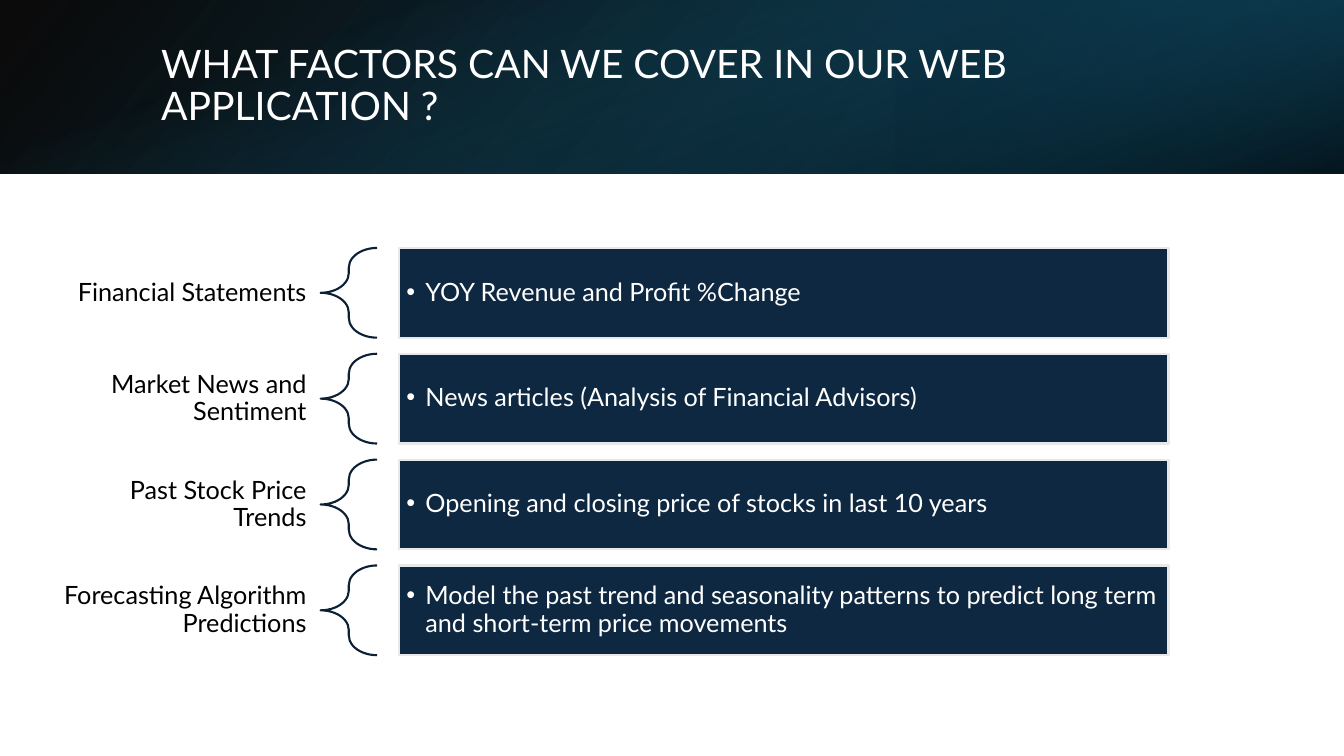
from dataclasses import dataclass

from lxml import etree
from pptx import Presentation
from pptx.dml.color import RGBColor
from pptx.enum.shapes import MSO_SHAPE
from pptx.enum.text import MSO_ANCHOR, PP_ALIGN
from pptx.oxml import parse_xml
from pptx.oxml.ns import nsdecls, qn
from pptx.util import Inches, Pt

RECT, BRACE = MSO_SHAPE.RECTANGLE, MSO_SHAPE.LEFT_BRACE
MIDDLE = MSO_ANCHOR.MIDDLE
LEFT, RIGHT = PP_ALIGN.LEFT, PP_ALIGN.RIGHT


@dataclass(frozen=True)
class Theme:
    font: str = "Lato"
    title_size: int = 28
    body_size: int = 18
    line_width: float = 1.5
    line_spacing: float = 0.9
    white: str = "FFFFFF"
    black: str = "000000"
    teal: str = "156082"
    mid_teal: str = "104862"
    deep_teal: str = "0B3041"
    navy: str = "0E2841"
    brace: str = "0B2034"
    border: str = "E8E8E8"


THEME = Theme()
SLIDE_W, SLIDE_H, HEADER_H = 13.33, 7.5, 1.72
ROW_TOP, ROW_H, ROW_PITCH = 2.46, 0.89, 1.05

FACTORS = [
    ("Financial Statements", "YOY Revenue and Profit %Change"),
    ("Market News and Sentiment", "News articles (Analysis of Financial Advisors)"),
    ("Past Stock Price Trends", "Opening and closing price of stocks in last 10 years"),
    ("Forecasting Algorithm Predictions",
     "Model the past trend and seasonality patterns to predict long term "
     "and short-term price movements"),
]


def rgb(color):
    return RGBColor.from_string(color)


def add_bullet(p, hanging=0.19):
    pPr = p._p.get_or_add_pPr()
    pPr.set("marL", str(Inches(hanging)))
    pPr.set("indent", str(-Inches(hanging)))
    etree.SubElement(pPr, qn("a:buFont")).set("typeface", "Arial")
    etree.SubElement(pPr, qn("a:buChar")).set("char", "•")


def set_text(sp, text, size=THEME.body_size, color=THEME.black, align=LEFT,
             insets=(0.1, 0.05), bullet=False):
    tf = sp.text_frame
    tf.word_wrap = True
    tf.vertical_anchor = MIDDLE
    tf.margin_left = tf.margin_right = Inches(insets[0])
    tf.margin_top = tf.margin_bottom = Inches(insets[1])
    p = tf.paragraphs[0]
    p.alignment = align
    p.line_spacing = THEME.line_spacing
    if bullet:
        add_bullet(p)
    r = p.add_run()
    r.text = text
    r.font.name = THEME.font
    r.font.size = Pt(size)
    r.font.color.rgb = rgb(color)


def add_text(slide, box, text, **text_format):
    sp = slide.shapes.add_textbox(*map(Inches, box))
    set_text(sp, text, **text_format)


def add_shape(slide, preset, box, fill=None, line=None):
    sp = slide.shapes.add_shape(preset, *map(Inches, box))
    sp.shadow.inherit = False
    if fill:
        sp.fill.solid()
        sp.fill.fore_color.rgb = rgb(fill)
    else:
        sp.fill.background()
    if line:
        sp.line.color.rgb = rgb(line)
        sp.line.width = Pt(THEME.line_width)
    else:
        sp.line.fill.background()
    return sp


def add_gradient(slide, box, stops, angle, rotation=0, flip=False):
    """Draw a rectangle shaded by stops of (position %, colour, opacity %)."""
    sp = add_shape(slide, RECT, box)
    sp.rotation = rotation
    spPr = sp._element.spPr
    if flip:
        spPr.find(qn("a:xfrm")).set("flipH", "1")
    stop_xml = "".join(
        f'<a:gs pos="{pos * 1000}"><a:srgbClr val="{color}">'
        f'<a:alpha val="{opacity * 1000}"/></a:srgbClr></a:gs>'
        for pos, color, opacity in stops)
    gradient = parse_xml(
        f'<a:gradFill {nsdecls("a")} rotWithShape="1"><a:gsLst>{stop_xml}</a:gsLst>'
        f'<a:lin ang="{angle * 60000}" scaled="0"/></a:gradFill>')
    spPr.replace(spPr.find(qn("a:noFill")), gradient)


def add_header(slide, title):
    t = THEME
    add_gradient(slide, (0, 0, SLIDE_W, HEADER_H),
                 [(0, t.black, 96), (100, t.mid_teal, 100)], 140, flip=True)
    add_gradient(slide, (SLIDE_W * 2 / 3, 0, SLIDE_W / 3, HEADER_H),
                 [(19, t.deep_teal, 68), (100, t.teal, 79)], 320,
                 rotation=180, flip=True)
    offset = (SLIDE_W - HEADER_H) / 2
    add_gradient(slide, (offset, -offset, HEADER_H, SLIDE_W),
                 [(23, t.teal, 0), (99, t.black, 74)], 340, rotation=90)
    add_text(slide, (1.5, 0.38, 10.98, 0.96), title,
             size=t.title_size, color=t.white)


def add_factor(slide, top, label, detail):
    add_text(slide, (0.37, top, 2.81, ROW_H), label, align=RIGHT,
             insets=(0.14, 0.05))
    brace = add_shape(slide, BRACE, (3.18, top, 0.56, ROW_H), line=THEME.brace)
    brace.adjustments[0] = 0.35
    brace.adjustments[1] = 0.5
    bar = add_shape(slide, RECT, (3.96, top, 7.63, ROW_H),
                    fill=THEME.navy, line=THEME.border)
    set_text(bar, detail, color=THEME.white, insets=(0.07, 0.07), bullet=True)


def main():
    prs = Presentation()
    prs.slide_width, prs.slide_height = Inches(SLIDE_W), Inches(SLIDE_H)
    slide = prs.slides.add_slide(prs.slide_layouts[6])
    add_header(slide, "WHAT FACTORS CAN WE COVER IN OUR WEB APPLICATION ?")
    for i, (label, detail) in enumerate(FACTORS):
        add_factor(slide, ROW_TOP + i * ROW_PITCH, label, detail)
    prs.save("out.pptx")


if __name__ == "__main__":
    main()
